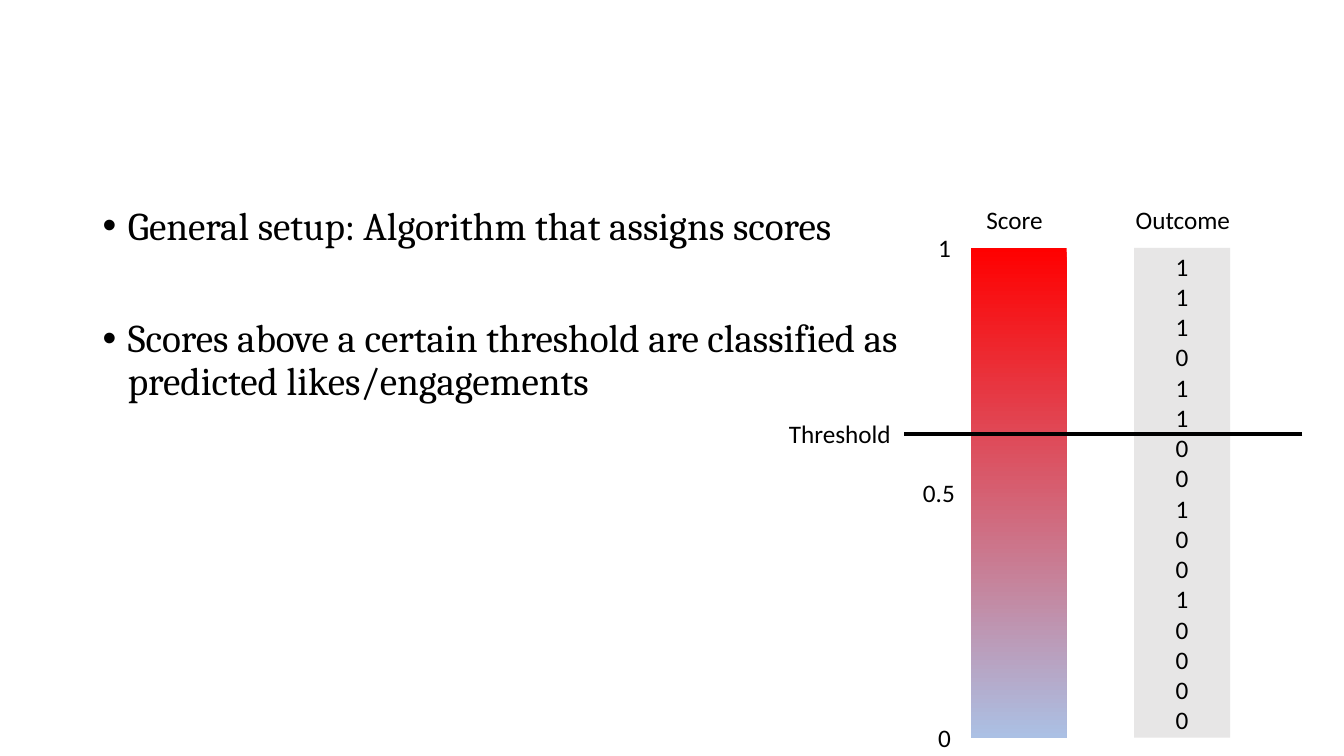
from pptx import Presentation
from pptx.dml.color import RGBColor
from pptx.enum import shapes, text
from pptx.util import Cm, Pt
from lxml import etree

# Content
POINTS = [
    "General setup: Algorithm that assigns scores",
    "Scores above a certain threshold are classified as predicted likes/engagements",
]
OUTCOMES = "1110110010010000"
HEADS = [("Score", 24.61), ("Outcome", 28.37)]  # text, left
TICKS = [("1", 1, 23.39, 0.69), ("0.5", 0.5, 23.01, 1.4), ("0", 0, 23.39, 0.69)]
CUT = ("Threshold", 0.62, 19.63, 3.76)  # text, score, left, width

COLORS = {"ink": "000000", "high": "FF0000", "low": "ABC0E4", "gray": "E7E6E6"}

# Layout in cm
TOP, TALL, WIDE = 6.25, 12.34, 2.42
SCORE_X, OUT_X = 24.46, 28.58
ROW = 1.02


def color(name):
    return RGBColor.from_string(COLORS[name])


def level(score):
    return TOP + (1 - score) * TALL


def style(para, font, size):
    for run in para.runs:
        run.font.name = font
        run.font.size = Pt(size)
        run.font.color.rgb = color("ink")


def add_label(slide, words, x, y, wide):
    box = slide.shapes.add_textbox(Cm(x), Cm(y), Cm(wide), Cm(ROW))
    frame = box.text_frame
    frame.text = words
    frame.word_wrap = False
    style(frame.paragraphs[0], "Calibri", 18)


def add_bar(slide, x):
    bar = slide.shapes.add_shape(
        shapes.MSO_SHAPE.RECTANGLE, Cm(x), Cm(TOP), Cm(WIDE), Cm(TALL))
    bar.shadow.inherit = False
    bar.line.fill.background()
    return bar


def add_points(slide):
    body = slide.placeholders[1]
    body.left, body.top, body.width, body.height = Cm(2.33), Cm(5.08), Cm(20.75), Cm(12.09)
    frame = body.text_frame
    frame.text = "\n".join(POINTS)
    frame.word_wrap = True
    frame.auto_size = text.MSO_AUTO_SIZE.NONE
    frame.vertical_anchor = text.MSO_ANCHOR.TOP
    for i, para in enumerate(frame.paragraphs):
        props = para._p.get_or_add_pPr()
        props.set("marL", str(Cm(0.64)))
        props.set("indent", str(-Cm(0.64)))
        para.line_spacing = 0.9
        para.space_before = Pt(50 if i else 0)
        style(para, "Cambria", 28)


def main():
    prs = Presentation()
    prs.slide_width, prs.slide_height = Cm(33.87), Cm(19.05)
    slide = prs.slides.add_slide(prs.slide_layouts[1])
    title = slide.shapes.title._element
    title.getparent().remove(title)
    add_points(slide)

    # Score scale
    fill = add_bar(slide, SCORE_X).fill
    fill.gradient()
    fill.gradient_angle = 270
    for stop, name, place in zip(fill.gradient_stops, ("high", "low"), (0, 1)):
        stop.color.rgb = color(name)
        stop.position = place

    # Outcome column
    bar = add_bar(slide, OUT_X)
    bar.fill.solid()
    bar.fill.fore_color.rgb = color("gray")
    frame = bar.text_frame
    frame.text = "\n".join(OUTCOMES)
    frame.vertical_anchor = text.MSO_ANCHOR.MIDDLE
    for para in frame.paragraphs:
        para.alignment = text.PP_ALIGN.CENTER
        style(para, "Calibri", 18)

    # Threshold line
    y = Cm(level(CUT[1]))
    line = slide.shapes.add_connector(
        shapes.MSO_CONNECTOR.STRAIGHT, Cm(32.82), y, Cm(22.78), y)
    line.line.color.rgb = color("ink")
    line.line.width = Pt(2.75)
    props = line._element.spPr
    etree.SubElement(props, props.tag.replace("}spPr", "}effectLst").replace(
        "presentationml", "drawingml").replace("2006/main", "2006/main"))

    # Labels
    for words, x in HEADS:
        add_label(slide, words, x, 5.03, 3.25)
    for words, score, x, wide in TICKS + [CUT]:
        add_label(slide, words, x, level(score) - ROW / 2, wide)

    prs.save("out.pptx")


if __name__ == "__main__":
    main()
